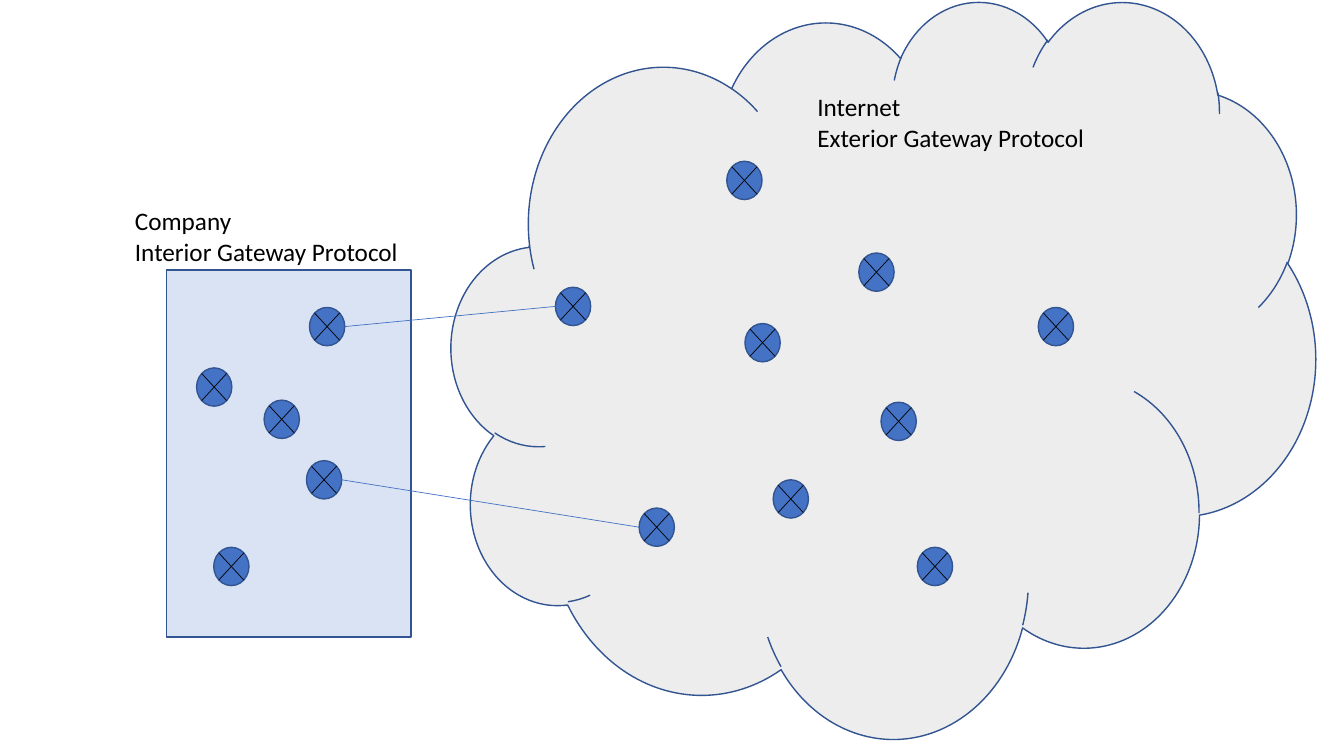
from collections import namedtuple
from dataclasses import dataclass
from math import sqrt

from lxml import etree
from pptx import Presentation, util as u
from pptx.dml.color import RGBColor
from pptx.enum import shapes, text
from pptx.oxml import ns

CELL = u.Inches(0.1)  # the grid: square cells, 133.3 columns by 75 rows
Box = namedtuple("Box", "x y w h")


@dataclass(frozen=True)
class Theme:
    edge: str = "325491"
    site: str = "DAE3F3"
    cloud: str = "EDEDED"
    node: str = "4472C4"
    ink: str = "000000"
    font: str = "Calibri"
    size: float = 18
    thick: float = 1
    thin: float = 0.5


THEME = Theme()


def rgb(code):
    return RGBColor.from_string(code)


def cells(*nums):
    return [round(n * CELL) for n in nums]


def shape(tree, kind, box, fill):
    item = tree.add_shape(kind, *cells(*box))
    item.shadow.inherit = False
    item.fill.solid()
    item.fill.fore_color.rgb = rgb(fill)
    item.line.color.rgb = rgb(THEME.edge)
    item.line.width = u.Pt(THEME.thick)


def line(tree, start, end, color):
    item = tree.add_connector(shapes.MSO_CONNECTOR.STRAIGHT,
                              *cells(*start, *end))
    item.line.color.rgb = rgb(color)
    item.line.width = u.Pt(THEME.thin)
    etree.SubElement(item._element.spPr, ns.qn("a:effectLst"))


def label(tree, box, rows):
    frame = tree.add_textbox(*cells(*box)).text_frame
    frame.word_wrap = True
    frame.auto_size = text.MSO_AUTO_SIZE.SHAPE_TO_FIT_TEXT
    frame.text = "\n".join(rows)
    for para in frame.paragraphs:
        para.font.name = THEME.font
        para.font.size = u.Pt(THEME.size)
        para.font.color.rgb = rgb(THEME.ink)


def router(tree, box):
    """Group a disc with a cross whose ends lie on its rim."""
    group = tree.add_group_shape().shapes
    shape(group, shapes.MSO_SHAPE.OVAL, box, THEME.node)
    inset = (1 - 1 / sqrt(2)) / 2
    left, right = box.x + box.w * inset, box.x + box.w * (1 - inset)
    top, base = box.y + box.h * inset, box.y + box.h * (1 - inset)
    line(group, (left, top), (right, base), THEME.ink)
    line(group, (right, top), (left, base), THEME.ink)


def region(tree, box, spots):
    """Place routers at offsets within the box and return their boxes."""
    nodes = [Box(box.x + x, box.y + y, 3.5, 3.8) for x, y in spots]
    for node in nodes:
        router(tree, node)
    return nodes


def company(tree, box):
    return region(tree, box, [(14.2, 3.7), (13.9, 18.9), (9.7, 12.9),
                              (4.7, 27.5), (3, 9.7)])


def internet(tree, box):
    return region(tree, box, [(10.3, 28.5), (18.6, 50.4), (58.2, 30.5),
                              (42.6, 39.9), (46.2, 54.3), (40.4, 25.1),
                              (31.9, 47.6), (29.1, 32.1), (27.3, 16)])


def link(tree, near, far):
    line(tree, (near.x + near.w, near.y + near.h / 2),
         (far.x, far.y + far.h / 2), THEME.node)


def network(tree, site, cloud):
    shape(tree, shapes.MSO_SHAPE.RECTANGLE, site, THEME.site)
    shape(tree, shapes.MSO_SHAPE.CLOUD, cloud, THEME.cloud)
    inner, outer = company(tree, site), internet(tree, cloud)
    label(tree, Box(site.x - 4.1, site.y - 6.9, 30.2, 7.1),
          ["Company", "Interior Gateway Protocol"])
    label(tree, Box(cloud.x + 35.3, cloud.y + 8.6, 32.8, 7.1),
          ["Internet", "Exterior Gateway Protocol"])
    for near, far in zip(inner[:2], outer[:2]):
        link(tree, near, far)


def main():
    deck = Presentation()
    deck.slide_width, deck.slide_height = cells(133.33, 75)
    slide = deck.slides.add_slide(deck.slide_layouts[6])
    network(slide.shapes, Box(16.5, 26.8, 24.3, 36.4),
            Box(44.8, 0, 85.7, 73.1))
    deck.save("out.pptx")


if __name__ == "__main__":
    main()
